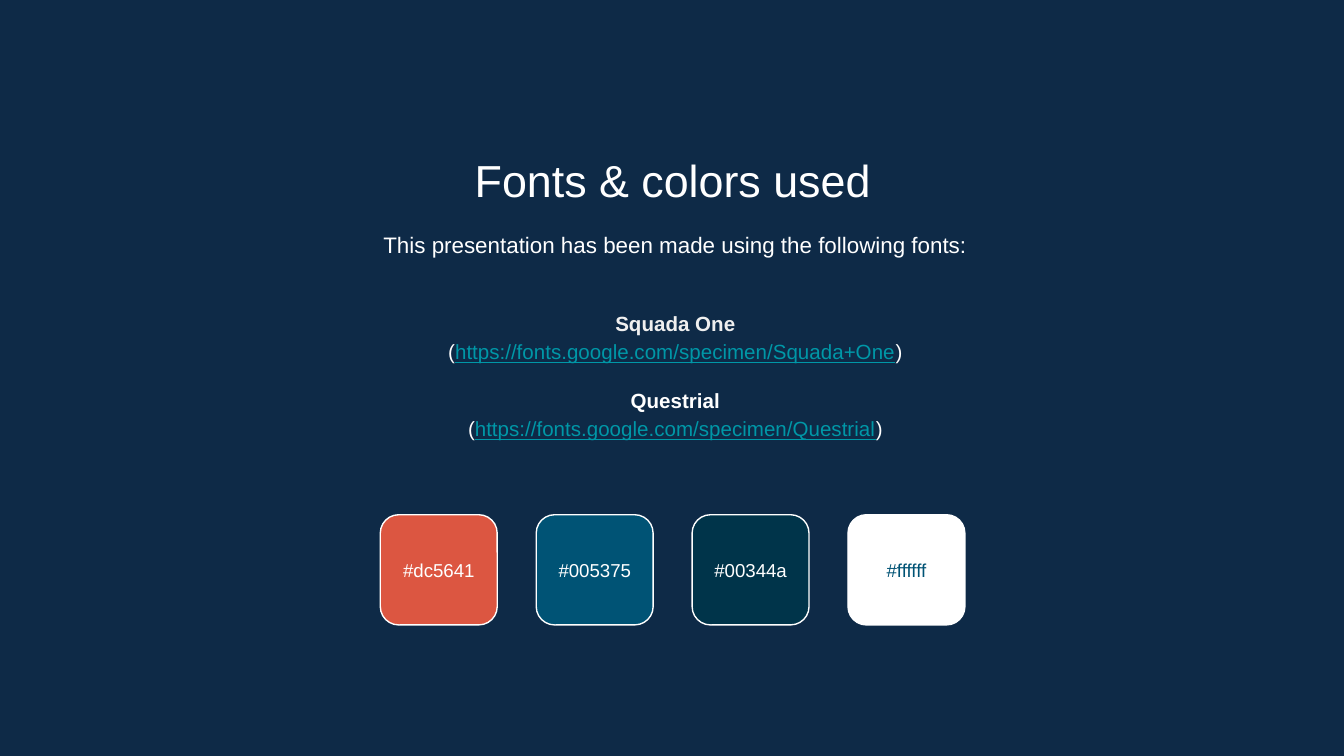
from pptx import Presentation
from pptx.dml.color import RGBColor
from pptx.enum.shapes import MSO_SHAPE as Shape
from pptx.enum.text import MSO_ANCHOR as Anchor, PP_ALIGN as Align
from pptx.util import Inches, Pt

FONT = "Arial"
WHITE, PALE, LINK, NAVY, BLUE = "FFFFFF", "EFEFEF", "0097A7", "0E2A47", "005375"
FONTS = [
    ("Squada One", "https://fonts.google.com/specimen/Squada+One", PALE),
    ("Questrial", "https://fonts.google.com/specimen/Questrial", WHITE),
]
SWATCHES = [("#dc5641", WHITE), ("#005375", WHITE), ("#00344a", WHITE), ("#ffffff", BLUE)]
SWATCH_LEFT, SWATCH_STEP = 2.83, 1.16


def color(value):
    return RGBColor.from_string(value.lstrip("#").upper())


def style(para, size, ink=WHITE, bold=False, spacing=None):
    para.alignment = Align.CENTER
    para.line_spacing = spacing
    font = para.font
    font.name, font.size, font.bold = FONT, Pt(size), bold
    font.color.rgb = color(ink)


def add_text_box(page, left, top, width, height, anchor=Anchor.TOP):
    frame = page.shapes.add_textbox(
        Inches(left), Inches(top), Inches(width), Inches(height)
    ).text_frame
    frame.word_wrap = True
    frame.vertical_anchor = anchor
    frame.margin_left = frame.margin_right = Inches(0.1)
    frame.margin_top = frame.margin_bottom = Inches(0.1)
    return frame


def add_line(page, text, left, top, width, height, size, spacing=None):
    para = add_text_box(page, left, top, width, height).paragraphs[0]
    para.text = text
    style(para, size, spacing=spacing)


def add_font_list(page):
    frame = add_text_box(page, 1.17, 2.1, 7.71, 1.37, Anchor.MIDDLE)
    for index, (name, address, ink) in enumerate(FONTS):
        heading = frame.add_paragraph() if index else frame.paragraphs[0]
        heading.text = name
        style(heading, 11, ink, bold=True, spacing=1.15)
        if index:
            heading.space_before = Pt(11)

        source = frame.add_paragraph()
        style(source, 11, spacing=1.15)
        for text in ("(", address, ")"):
            span = source.add_run()
            span.text = text
            if text == address:
                span.font.underline = True
                span.font.color.rgb = color(LINK)


def add_swatch(page, left, code, ink):
    """Draw a rounded tile filled with the color that its label names."""
    tile = page.shapes.add_shape(
        Shape.ROUNDED_RECTANGLE, Inches(left), Inches(3.83), Inches(0.87), Inches(0.82)
    )
    tile.shadow.inherit = False
    tile.fill.solid()
    tile.fill.fore_color.rgb = color(code)
    tile.line.color.rgb = color(WHITE)
    tile.line.width = Pt(0.75)
    frame = tile.text_frame
    frame.margin_left = frame.margin_right = 0
    frame.vertical_anchor = Anchor.MIDDLE
    frame.text = code
    style(frame.paragraphs[0], 10, ink)


def main():
    deck = Presentation()
    deck.slide_width = Inches(10)
    deck.slide_height = deck.slide_width * 9 // 16
    page = deck.slides.add_slide(deck.slide_layouts[6])
    page.background.fill.solid()
    page.background.fill.fore_color.rgb = color(NAVY)

    add_line(page, "Fonts & colors used", 1.15, 1.04, 7.71, 0.53, 24)
    add_line(page, "This presentation has been made using the following fonts:",
             1.17, 1.59, 7.71, 0.48, 12, spacing=1.15)
    add_font_list(page)
    for index, (code, ink) in enumerate(SWATCHES):
        add_swatch(page, SWATCH_LEFT + index * SWATCH_STEP, code, ink)

    deck.save("out.pptx")


if __name__ == "__main__":
    main()
